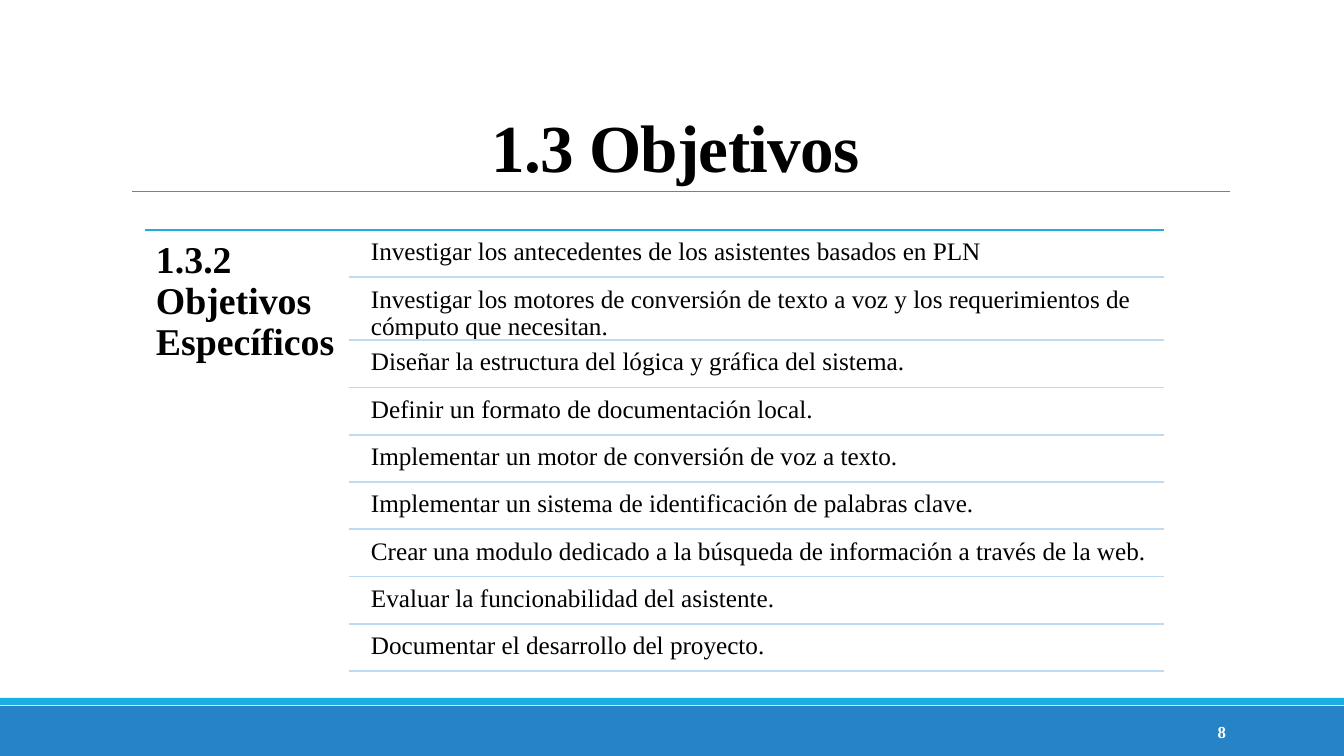
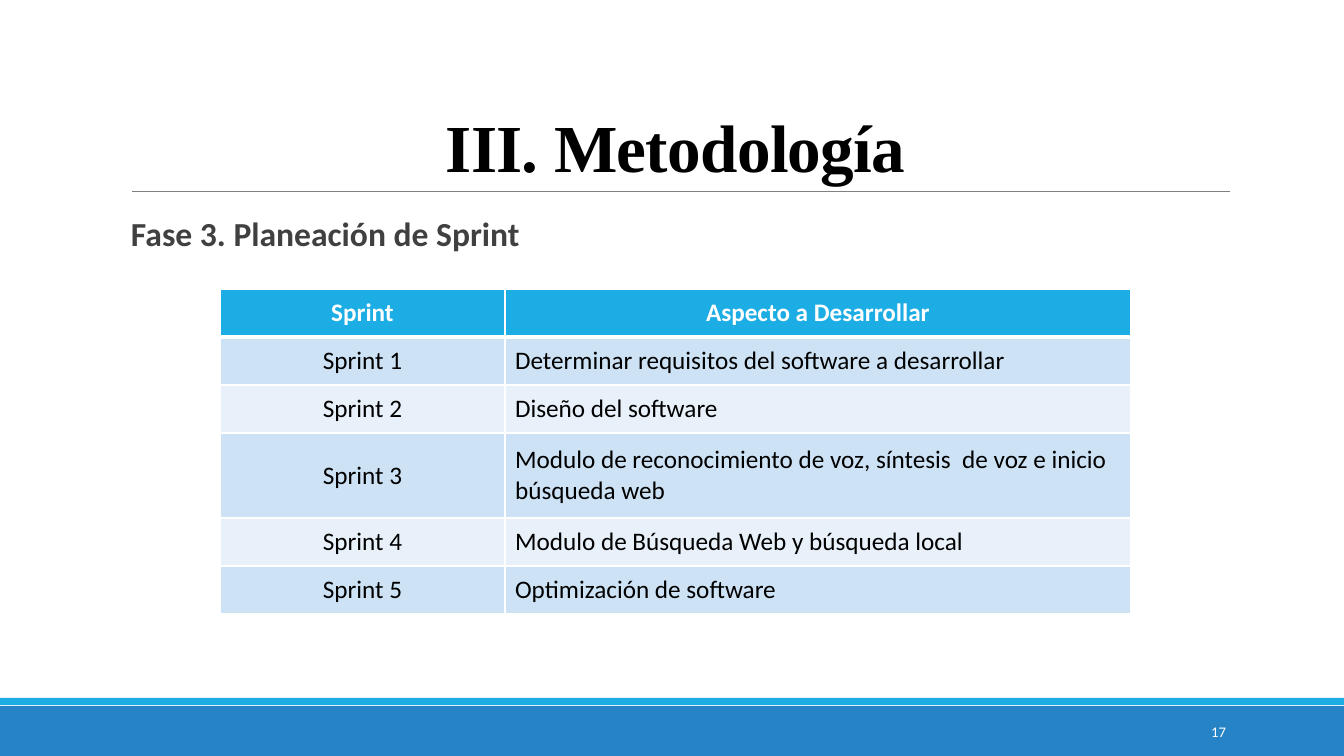
from dataclasses import dataclass

from lxml.etree import SubElement
from pptx import Presentation
from pptx.dml.color import RGBColor as RGB
from pptx.enum.shapes import MSO_CONNECTOR, MSO_SHAPE
from pptx.enum.text import MSO_ANCHOR as ANCHOR, PP_ALIGN as ALIGN
from pptx.oxml.ns import qn
from pptx.util import Pt

PX = 9072  # EMU in one px
WIDTH, HEIGHT = 1344, 756


@dataclass(frozen=True)
class Theme:
    serif: str = "Times New Roman"
    sans: str = "Calibri"
    ink: str = "000000"
    soft_ink: str = "404040"
    white: str = "FFFFFF"
    accent: str = "1CADE4"
    footer: str = "2683C6"
    title_rule: str = "808080"
    pale_rule: str = "BDDBF2"
    row_bands: tuple = ("CDE3F5", "E8F1FA")
    title_size: float = 48
    section_size: float = 27
    phase_size: float = 24
    body_size: float = 18
    bold_page_size: float = 12
    page_size: float = 10.5


THEME = Theme()


def add_text(slide, box, text, size, font, color=THEME.ink, bold=False,
             align=ALIGN.LEFT, anchor=ANCHOR.TOP, insets=(10, 5, 10, 5), spacing=0.9):
    frame = slide.shapes.add_textbox(*(int(v * PX) for v in box)).text_frame
    frame.word_wrap = True
    frame.vertical_anchor = anchor
    (frame.margin_left, frame.margin_top,
     frame.margin_right, frame.margin_bottom) = (v * PX for v in insets)
    paragraph = frame.paragraphs[0]
    paragraph.text = text
    paragraph.alignment = align
    paragraph.line_spacing = spacing
    paragraph.font.size = Pt(size)
    paragraph.font.name = font
    paragraph.font.bold = bold
    paragraph.font.color.rgb = RGB.from_string(color)
    return paragraph


def add_rule(slide, left, right, y, color, weight):
    rule = slide.shapes.add_connector(
        MSO_CONNECTOR.STRAIGHT, left * PX, int(y * PX), right * PX, int(y * PX))
    rule.line.color.rgb = RGB.from_string(color)
    rule.line.width = Pt(weight)
    SubElement(rule._element.spPr, qn("a:effectLst"))


deck = Presentation()
deck.slide_width, deck.slide_height = WIDTH * PX, HEIGHT * PX

# Shared frame: footer bands, title with rule, page number
pages = [
    ("1.3 Objetivos", "8", THEME.bold_page_size, THEME.serif, True),
    ("III. Metodología", "17", THEME.page_size, THEME.sans, False),
]
for title, number, number_size, number_font, number_bold in pages:
    slide = deck.slides.add_slide(deck.slide_layouts[6])
    for top, height, color in ((706, 50, THEME.footer), (698, 7, THEME.accent)):
        band = slide.shapes.add_shape(
            MSO_SHAPE.RECTANGLE, 0, top * PX, WIDTH * PX, height * PX)
        band.shadow.inherit = False
        band.fill.solid()
        band.fill.fore_color.rgb = RGB.from_string(color)
        band.line.fill.background()
    add_rule(slide, 132, 1230, 191, THEME.title_rule, 0.5)
    heading = add_text(slide, (121, 31, 1109, 160), title, THEME.title_size, THEME.serif,
                       bold=True, align=ALIGN.CENTER, anchor=ANCHOR.BOTTOM, spacing=0.85)
    heading._p.get_or_add_pPr().get_or_add_defRPr().set("spc", "-50")
    add_text(slide, (1092, 712, 144, 40), number, number_size, number_font, THEME.white,
             number_bold, ALIGN.RIGHT, ANCHOR.MIDDLE, spacing=1.0)

objectives_slide, method_slide = deck.slides

# Objectives: section name on the left, ruled list on the right
objectives = [
    "Investigar los antecedentes de los asistentes basados en PLN",
    "Investigar los motores de conversión de texto a voz y los requerimientos de "
    "cómputo que necesitan.",
    "Diseñar la estructura del lógica y gráfica del sistema.",
    "Definir un formato de documentación local.",
    "Implementar un motor de conversión de voz a texto.",
    "Implementar un sistema de identificación de palabras clave.",
    "Crear una modulo dedicado a la búsqueda de información a través de la web.",
    "Evaluar la funcionabilidad del asistente.",
    "Documentar el desarrollo del proyecto.",
]
list_top, list_bottom, list_right = 230, 671, 1164
tall_row, tall_height = 1, 63
row_height = (list_bottom - list_top - tall_height) / (len(objectives) - 1)

add_rule(objectives_slide, 145, list_right, list_top, THEME.accent, 1.25)
add_text(objectives_slide, (145, list_top, 204, list_bottom - list_top),
         "1.3.2 Objetivos Específicos", THEME.section_size, THEME.serif, bold=True,
         insets=(11, 11, 11, 11))
y = list_top
for index, objective in enumerate(objectives):
    height = tall_height if index == tall_row else row_height
    add_text(objectives_slide, (364, y + 2, 800, height - 2), objective,
             THEME.body_size, THEME.serif, insets=(7, 7, 7, 7))
    y += height
    add_rule(objectives_slide, 349, list_right, y, THEME.pale_rule, 1.25)

# Methodology: phase line and sprint table
add_text(method_slide, (121, 212, 1146, 76), "Fase 3. Planeación de Sprint",
         THEME.phase_size, THEME.sans, THEME.soft_ink, True, ALIGN.JUSTIFY,
         insets=(10, 5, 0, 5))

sprint_rows = [
    ("Sprint", "Aspecto a Desarrollar"),
    ("Sprint 1", "Determinar requisitos del software a desarrollar"),
    ("Sprint 2", "Diseño del software"),
    ("Sprint 3", "Modulo de reconocimiento de voz, síntesis  de voz e inicio búsqueda web"),
    ("Sprint 4", "Modulo de Búsqueda Web y búsqueda local"),
    ("Sprint 5", "Optimización de software"),
]
column_widths = (285, 626)
row_heights = (48, 48, 48, 85, 48, 48)
sprints = method_slide.shapes.add_table(
    len(sprint_rows), len(column_widths), 220 * PX, 289 * PX,
    sum(column_widths) * PX, sum(row_heights) * PX).table
sprints.horz_banding = False
for column, width in zip(sprints.columns, column_widths):
    column.width = width * PX
for row_index, (texts, height) in enumerate(zip(sprint_rows, row_heights)):
    sprints.rows[row_index].height = height * PX
    header = row_index == 0
    for column_index, text in enumerate(texts):
        cell = sprints.cell(row_index, column_index)
        cell.vertical_anchor = ANCHOR.MIDDLE
        # White borders, thick under the header
        borders = {"lnL": 1, "lnR": 1, "lnT": 3 if row_index == 1 else 1,
                   "lnB": 3 if header else 1}
        for side, weight in borders.items():
            edge = SubElement(cell._tc.get_or_add_tcPr(), qn(f"a:{side}"), w=str(Pt(weight)))
            SubElement(SubElement(edge, qn("a:solidFill")), qn("a:srgbClr"), val=THEME.white)
        cell.fill.solid()
        cell.fill.fore_color.rgb = RGB.from_string(
            THEME.accent if header else THEME.row_bands[(row_index - 1) % 2])
        entry = cell.text_frame.paragraphs[0]
        entry.text = text
        entry.alignment = ALIGN.CENTER if header or column_index == 0 else ALIGN.LEFT
        entry.font.size = Pt(THEME.body_size)
        entry.font.name = THEME.sans
        entry.font.bold = header
        entry.font.color.rgb = RGB.from_string(THEME.white if header else THEME.ink)

deck.save("out.pptx")
